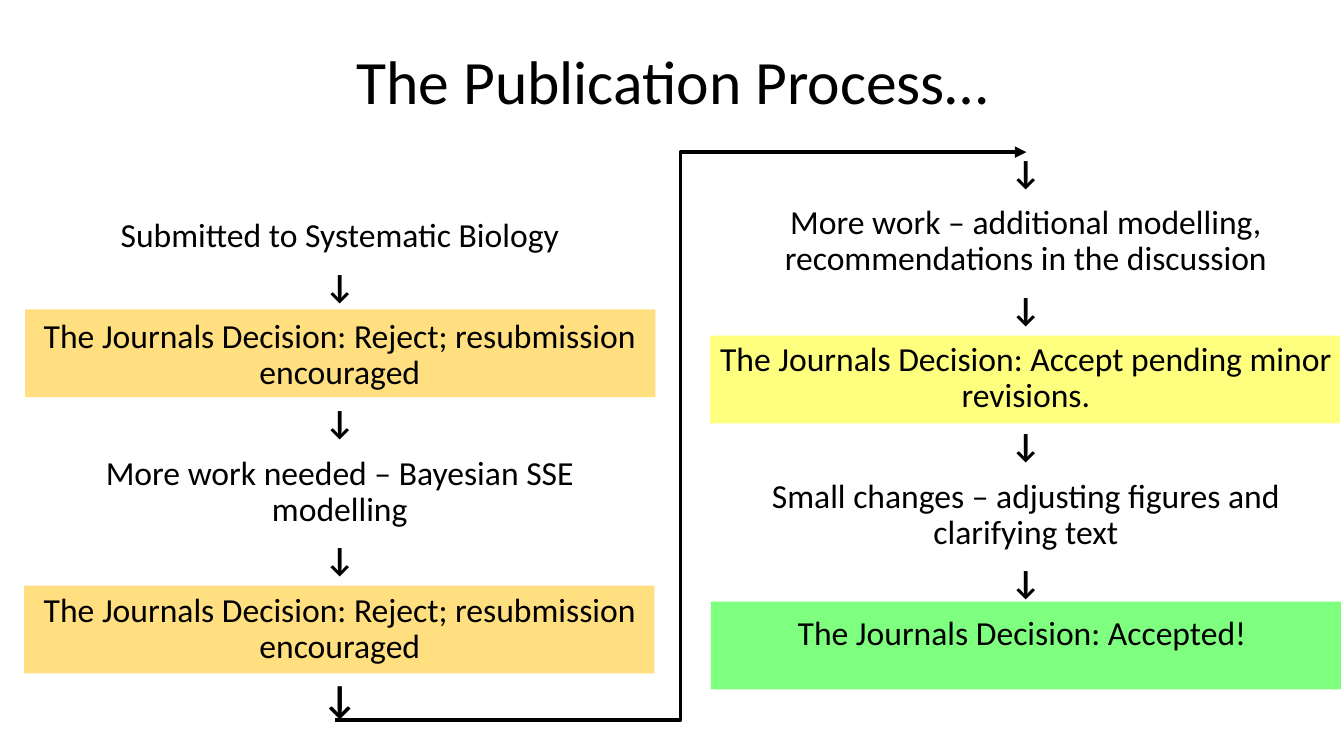
import pptx
import pptx.util
import pptx.dml.color
import pptx.enum.shapes
import pptx.enum.text
import pptx.oxml.ns
import pptx.oxml.xmlchemy
from pptx.util import Inches

BLACK = pptx.dml.color.RGBColor(0x00, 0x00, 0x00)
AMBER = pptx.dml.color.RGBColor(0xFF, 0xC0, 0x00)
YELLOW = pptx.dml.color.RGBColor(0xFF, 0xFF, 0x00)
GREEN = pptx.dml.color.RGBColor(0x00, 0xFF, 0x00)

FONT = "Calibri"
ARROW = "↓"
REJECTED = "The Journals Decision: Reject; resubmission encouraged"
FIRST_ROUNDS = [
    "Submitted to Systematic Biology", ARROW,
    REJECTED, ARROW,
    "More work needed – Bayesian SSE modelling", ARROW,
    REJECTED, ARROW,
]
FINAL_ROUNDS = [
    ARROW, "More work – additional modelling, recommendations in the discussion",
    ARROW, "The Journals Decision: Accept pending minor revisions.",
    ARROW, "Small changes – adjusting figures and clarifying text",
    ARROW, "The Journals Decision: Accepted! ",
]
DECISIONS = [
    (7.04, 3.33, YELLOW),
    (7.05, 5.97, GREEN),
    (0.25, 3.07, AMBER),
    (0.24, 5.81, AMBER),
]


def add_xml(parent, tag, **attributes):
    element = pptx.oxml.xmlchemy.OxmlElement(tag)
    for name, value in attributes.items():
        element.set(name, value)
    parent.append(element)


def place(shape, left, top, width, height):
    shape.left, shape.top = Inches(left), Inches(top)
    shape.width, shape.height = Inches(width), Inches(height)


def format_paragraph(paragraph, size, bold=False):
    paragraph.alignment = pptx.enum.text.PP_ALIGN.CENTER
    paragraph.line_spacing = 0.9
    for run in paragraph.runs:
        run.font.name = FONT
        run.font.size = pptx.util.Pt(size)
        run.font.bold = bold
        run.font.color.rgb = BLACK


def fill_title(title, text):
    place(title, 0.92, 0.11, 11.5, 1.45)
    title.text_frame.text = text
    title.text_frame.vertical_anchor = pptx.enum.text.MSO_ANCHOR.MIDDLE
    format_paragraph(title.text_frame.paragraphs[0], 44)


def fill_steps(column, steps):
    frame = column.text_frame
    frame.word_wrap = True
    frame.auto_size = pptx.enum.text.MSO_AUTO_SIZE.NONE
    frame.text = "\n".join(steps)
    for index, paragraph in enumerate(frame.paragraphs):
        properties = paragraph._p.get_or_add_pPr()
        properties.set("marL", "0")
        properties.set("indent", "0")
        add_xml(properties, "a:buNone")
        paragraph.space_before = pptx.util.Pt(10 if index else 0)
        format_paragraph(paragraph, 24, bold=steps[index] == ARROW)


def add_decision(slide, left, top, colour):
    band = slide.shapes.add_shape(
        pptx.enum.shapes.MSO_SHAPE.RECTANGLE,
        Inches(left), Inches(top), Inches(6.25), Inches(0.87))
    band.shadow.inherit = False
    band.line.fill.background()
    band.fill.solid()
    band.fill.fore_color.rgb = colour
    rgb = band._element.spPr.find(".//" + pptx.oxml.ns.qn("a:srgbClr"))
    add_xml(rgb, "a:alpha", val="50000")
    return band


def add_bent_arrow(slide, start, end):
    arrow = slide.shapes.add_connector(
        pptx.enum.shapes.MSO_CONNECTOR.ELBOW,
        Inches(start[0]), Inches(start[1]), Inches(end[0]), Inches(end[1]))
    arrow.line.color.rgb = BLACK
    arrow.line.width = pptx.util.Pt(2.75)
    add_xml(arrow.line._get_or_add_ln(), "a:tailEnd", type="triangle")
    add_xml(arrow._element.spPr, "a:effectLst")


def main():
    presentation = pptx.Presentation()
    presentation.slide_width = Inches(13.33)
    presentation.slide_height = Inches(7.5)
    slide = presentation.slides.add_slide(presentation.slide_layouts[1])

    fill_title(slide.shapes.title, "The Publication Process…")

    first_column = slide.placeholders[1]
    place(first_column, 0.26, 2.12, 6.22, 5.87)
    fill_steps(first_column, FIRST_ROUNDS)
    last_arrow = first_column.text_frame.paragraphs[-1]
    last_arrow.runs[0].font.size = pptx.util.Pt(28)

    final_column = slide.shapes.add_textbox(
        Inches(7.01), Inches(1.49), Inches(6.33), Inches(5.32))
    fill_steps(final_column, FINAL_ROUNDS)

    for left, top, colour in DECISIONS:
        band = add_decision(slide, left, top, colour)
        slide.shapes.title._element.addprevious(band._element)

    add_bent_arrow(slide, (3.32, 7.14), (10.18, 1.51))
    presentation.save("out.pptx")


if __name__ == "__main__":
    main()
